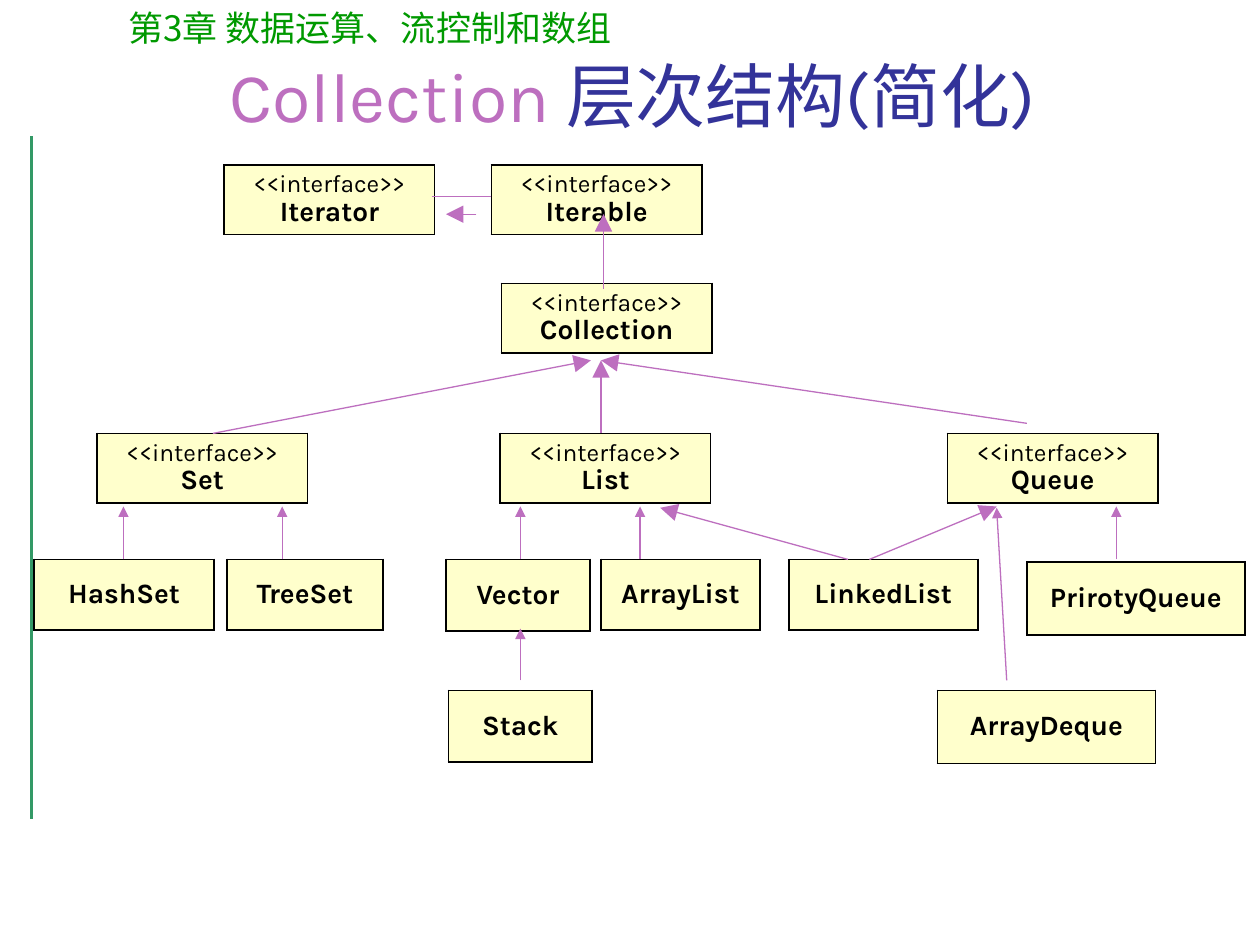
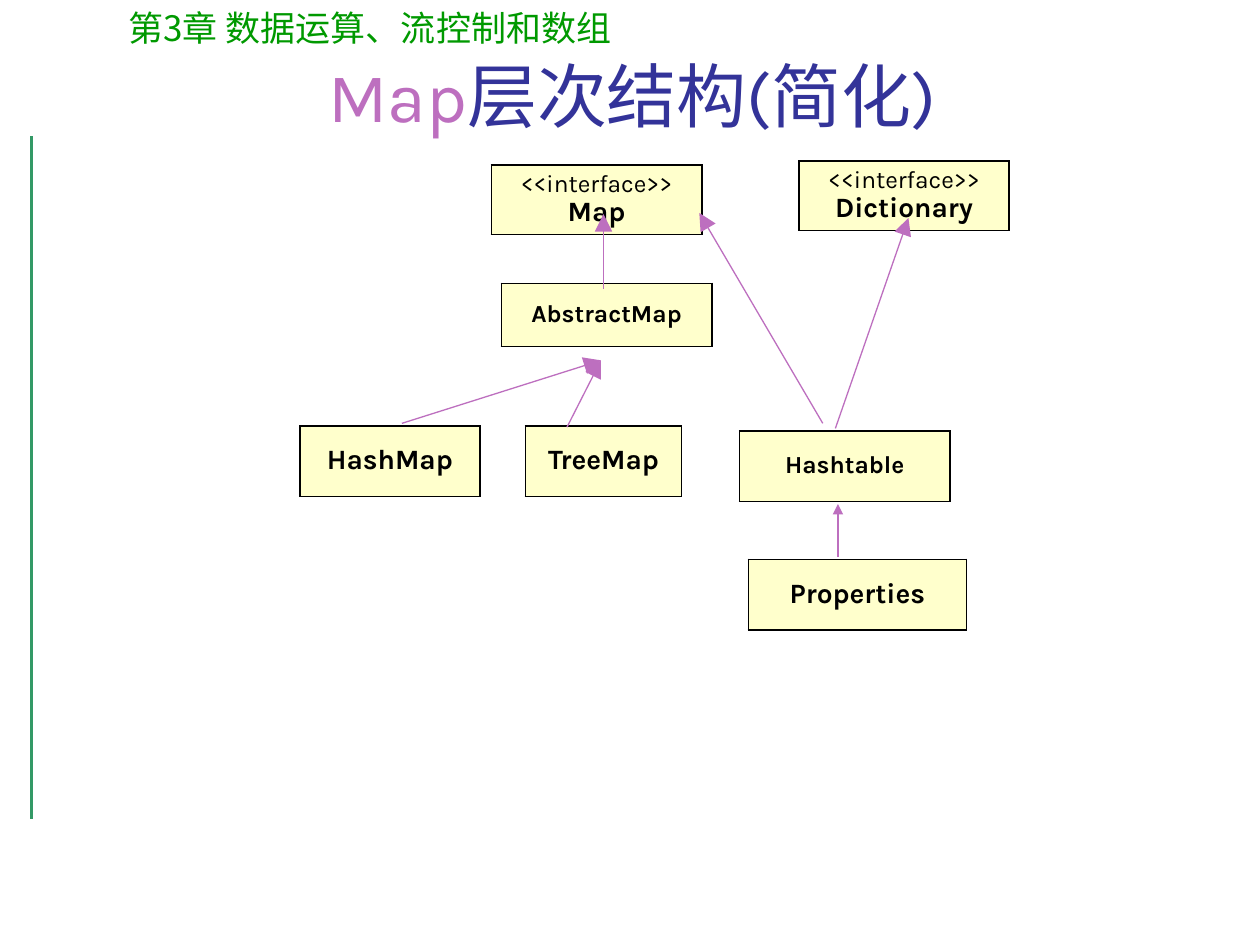
from collections import namedtuple

from lxml.etree import SubElement
from pptx import Presentation
from pptx.dml.color import RGBColor
from pptx.enum.shapes import MSO_CONNECTOR as Connector
from pptx.enum.text import MSO_ANCHOR as Anchor, PP_ALIGN as Align
from pptx.oxml.ns import qn
from pptx.util import Inches, Pt

LATIN, CHINESE = "Karla", "Noto Sans CJK SC"
GREEN, CHAPTER_GREEN = "339966", "009900"
ORCHID, NAVY = "BD6FBF", "333399"
CREAM, BLACK = "FFFFCC", "000000"

UNIT = Inches(0.1)  # the slide is a grid of 100 columns by 75 rows
Box = namedtuple("Box", "left top width height")
CHAPTER = Box(9.2, 0, 82.6, 9.4)
TITLE = Box(8.7, 2.1, 83, 9.2)
RAIL = Box(2.5, 10.8, 0, 54.2)
DIAGRAM = Box(0, 10, 100, 55)

INTERFACE_WIDTH = 16.7
NODE_HEIGHT = 5.6

# Nodes: name, left, top, width, height, text size; places count from the diagram's corner
COLLECTION_INTERFACES = [
    ("Iterator", 17.8, 3.1), ("Iterable", 39, 3.1), ("Collection", 39.8, 12.5),
    ("Set", 7.7, 24.4), ("List", 39.7, 24.4), ("Queue", 75.2, 24.4),
]
COLLECTION_CLASSES = [
    ("HashSet", 2.7, 34.4, 14.3, NODE_HEIGHT, 16),
    ("TreeSet", 18, 34.4, 12.4, NODE_HEIGHT, 16),
    ("Vector", 35.4, 34.4, 11.4, 5.7, 16),
    ("ArrayList", 47.7, 34.4, 12.6, NODE_HEIGHT, 16),
    ("LinkedList", 62.6, 34.4, 15, NODE_HEIGHT, 16),
    ("PrirotyQueue", 81.5, 34.6, 17.3, 5.8, 16),
    ("Stack", 35.6, 44.8, 11.4, 5.7, 16),
    ("ArrayDeque", 74.4, 44.8, 17.3, 5.8, 16),
]
MAP_INTERFACES = [("Map", 39, 3.1), ("Dictionary", 63.4, 2.8)]
MAP_CLASSES = [
    ("AbstractMap", 39.8, 12.5, INTERFACE_WIDTH, 5, 14),
    ("HashMap", 23.8, 23.8, 14.3, NODE_HEIGHT, 16),
    ("TreeMap", 41.7, 23.8, 12.4, NODE_HEIGHT, 16),
    ("Hashtable", 58.7, 24.2, INTERFACE_WIDTH, NODE_HEIGHT, 14),
    ("Properties", 59.4, 34.4, 17.3, NODE_HEIGHT, 16),
]

# Arrows: start x, start y, end x, end y, head size
ROOT_ARROW = (47.9, 12.9, 47.9, 7, "lg")
COLLECTION_ARROWS = [
    ROOT_ARROW,
    (39, 5.6, 34.3, 5.6, None),
    (37.8, 7, 35.4, 7, "lg"),
    (16.9, 24.4, 46.9, 18.6, "lg"),
    (47.7, 24.4, 47.7, 18.6, "lg"),
    (81.5, 23.6, 47.7, 18.6, "lg"),
    (67.3, 34.4, 52.4, 30.3, "lg"),
    (69, 34.4, 79.1, 30.2, "lg"),
    *[(x, 34.4, x, 30.2, "med") for x in (9.8, 22.4, 41.3, 50.8, 88.6)],
    (79.9, 44, 79.1, 30.3, "med"),
    (41.3, 44, 41.3, 39.9, "med"),
]
MAP_ARROWS = [
    ROOT_ARROW,
    (31.9, 23.6, 47.7, 18.6, "lg"),
    (45, 23.9, 47.7, 18.6, "lg"),
    (65.3, 23.6, 55.5, 6.9, "lg"),
    (66.3, 24, 72.1, 7.3, "lg"),
    (66.5, 34.2, 66.5, 30, "med"),
]


def colour(code):
    return RGBColor.from_string(code)


def grid(*counts):
    return [round(count * UNIT) for count in counts]


def set_font(font, size, code, name=LATIN, bold=False):
    font.size, font.bold, font.name = Pt(size), bold, name
    font.color.rgb = colour(code)
    SubElement(font._element, qn("a:ea")).set("typeface", CHINESE)


def add_line(page, start, end, code, width, head=None):
    line = page.shapes.add_connector(Connector.STRAIGHT, *grid(*start, *end))
    line.line.color.rgb = colour(code)
    line.line.width = Pt(width)
    if head:
        tip = SubElement(line.line._get_or_add_ln(), qn("a:tailEnd"))
        for key, value in (("type", "triangle"), ("w", head), ("len", head)):
            tip.set(key, value)
    SubElement(line._element.spPr, qn("a:effectLst"))


def add_text_box(page, box, anchor):
    frame = page.shapes.add_textbox(*grid(*box)).text_frame
    frame.word_wrap = True
    frame.vertical_anchor = anchor
    return frame.paragraphs[0]


def add_frame(page, subject):
    """Green rail, chapter line and two-coloured title."""
    add_line(page, RAIL[:2], (RAIL.left, RAIL.top + RAIL.height), GREEN, 2.25)

    para = add_text_box(page, CHAPTER, Anchor.TOP)
    para.text = "第3章 数据运算、流控制和数组"
    set_font(para.font, 20, CHAPTER_GREEN, CHINESE)

    para = add_text_box(page, TITLE, Anchor.BOTTOM)
    para.alignment = Align.CENTER
    for text, code in ((subject, ORCHID), ("层次结构(简化)", NAVY)):
        span = para.add_run()
        span.text = text
        set_font(span.font, 40, code)


def add_borders(cell):
    properties = cell._tc.get_or_add_tcPr()
    for side in ("lnL", "lnR", "lnT", "lnB"):
        border = SubElement(properties, qn("a:" + side))
        border.set("w", str(Pt(1.08)))
        fill = SubElement(border, qn("a:solidFill"))
        SubElement(fill, qn("a:srgbClr")).set("val", BLACK)


def add_node(page, area, name, left, top, width=INTERFACE_WIDTH, height=5.5,
             size=16, interface=False):
    """One-cell table holding a type's name, with its stereotype if an interface."""
    place = grid(area.left + left, area.top + top, width, height)
    table = page.shapes.add_table(1, 1, *place).table
    table.first_row = table.horz_banding = False
    cell = table.cell(0, 0)
    add_borders(cell)
    cell.fill.solid()
    cell.fill.fore_color.rgb = colour(CREAM)
    cell.vertical_anchor = Anchor.MIDDLE

    lines = [(name, size, True)]
    if interface:
        lines.insert(0, ("<<interface>>", 14, False))
    cell.text = "\n".join(text for text, _, _ in lines)
    for para, (_, points, bold) in zip(cell.text_frame.paragraphs, lines):
        para.alignment = Align.CENTER
        para.line_spacing = 0.9
        set_font(para.font, points, BLACK, bold=bold)


def add_hierarchy(page, area, interfaces, classes, arrows):
    for node in interfaces:
        add_node(page, area, *node, interface=True)
    for node in classes:
        add_node(page, area, *node)
    for x1, y1, x2, y2, head in arrows:
        add_line(page, (area.left + x1, area.top + y1),
                 (area.left + x2, area.top + y2), ORCHID, 0.75, head)


def main():
    deck = Presentation()
    deck.slide_width, deck.slide_height = grid(100, 75)
    for subject, *parts in (
        ("Collection ", COLLECTION_INTERFACES, COLLECTION_CLASSES, COLLECTION_ARROWS),
        ("Map", MAP_INTERFACES, MAP_CLASSES, MAP_ARROWS),
    ):
        page = deck.slides.add_slide(deck.slide_layouts[6])
        add_frame(page, subject)
        add_hierarchy(page, DIAGRAM, *parts)
    deck.save("out.pptx")


if __name__ == "__main__":
    main()
